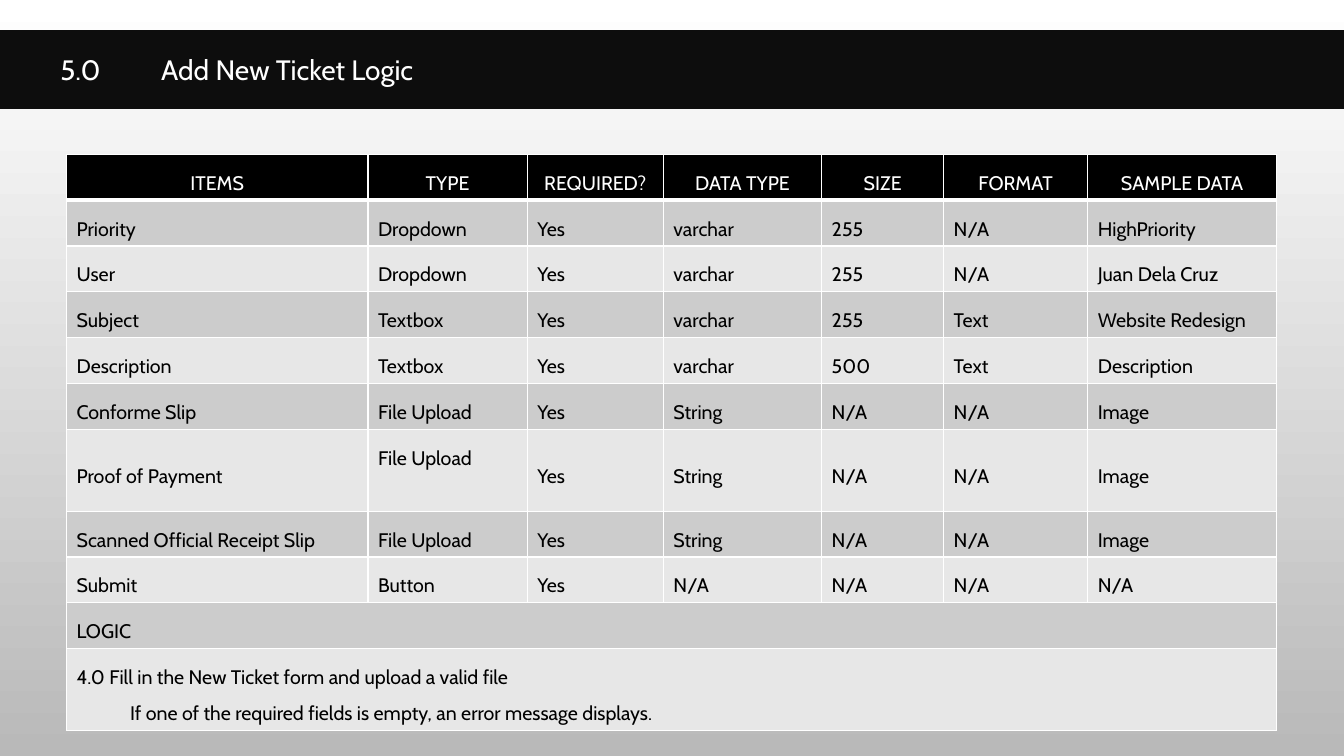
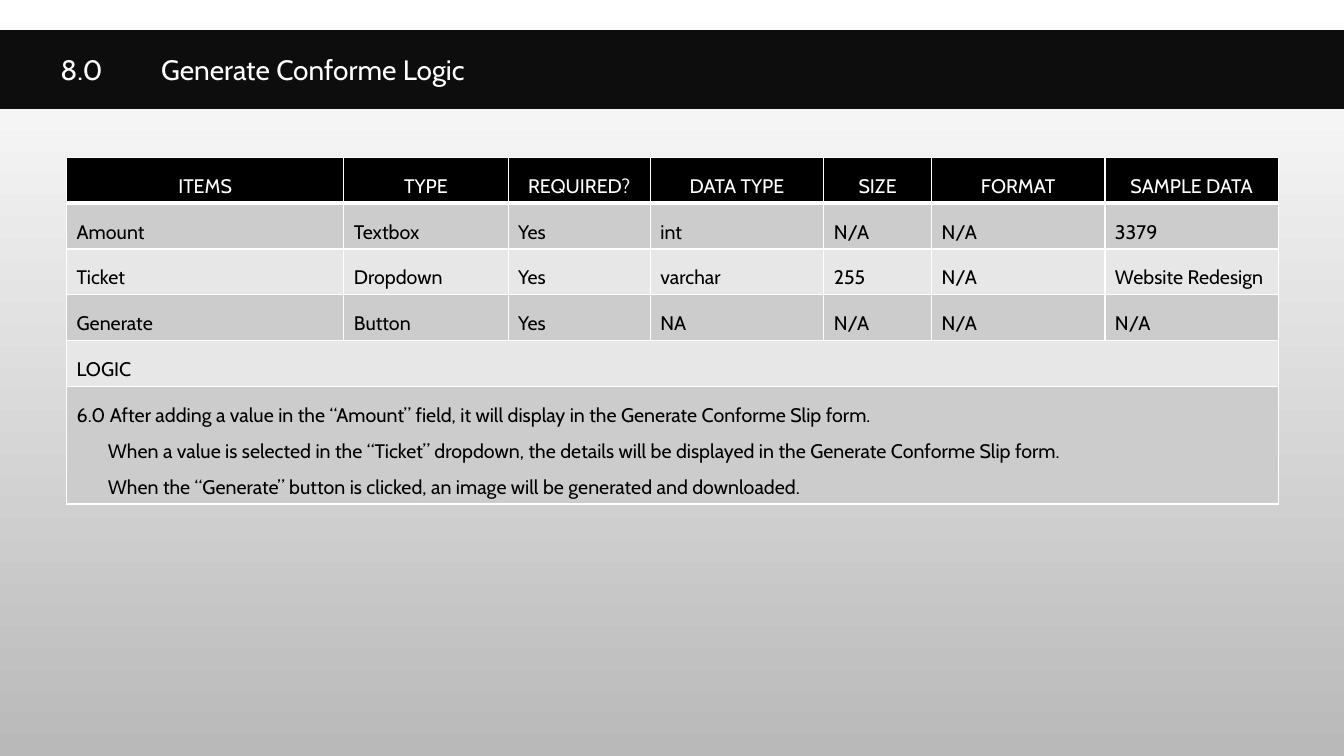
from lxml import etree
from pptx import Presentation
from pptx import util as u
from pptx.dml.color import RGBColor
from pptx.enum import shapes, text
from pptx.oxml.ns import qn

THEME = {
    "font": "Cabin",
    "title_size": 20,
    "table_size": 14,
    "white": "FFFFFF",
    "black": "000000",
    "band": "0D0D0D",
    "backdrop": ("FFFFFF", "B9B9B9"),
    "stripes": ("CCCCCC", "E7E7E7"),
    "rule": 1,
    "header_rule": 3,
    "line_spacing": 1.5,
}
SLIDE_WIDTH, SLIDE_HEIGHT = 13.33, 7.5
BAND_TOP, BAND_HEIGHT = 0.3, 0.78
TITLE_INDENT = TAB_STEP = 0.5
TABLE_LEFT = 0.66
CELL_PADDING, LINE_HEIGHT = 0.1, 0.35

HEADER = ("ITEMS", "TYPE", "REQUIRED?", "DATA TYPE", "SIZE", "FORMAT", "SAMPLE DATA")
SCREENS = [
    {
        "title": "5.0\t\tAdd New Ticket Logic",
        "top": 1.53,
        "columns": (2.99, 1.58, 1.35, 1.57, 1.21, 1.43, 1.87),
        "anchor": text.MSO_ANCHOR.MIDDLE,
        "items": [
            ("Priority", "Dropdown", "Yes", "varchar", "255", "N/A", "HighPriority"),
            ("User", "Dropdown", "Yes", "varchar", "255", "N/A", "Juan Dela Cruz"),
            ("Subject", "Textbox", "Yes", "varchar", "255", "Text", "Website Redesign"),
            ("Description", "Textbox", "Yes", "varchar", "500", "Text", "Description"),
            ("Conforme Slip", "File Upload", "Yes", "String", "N/A", "N/A", "Image"),
            ("Proof of Payment", "File Upload", "Yes", "String", "N/A", "N/A", "Image"),
            ("Scanned Official Receipt Slip", "File Upload", "Yes", "String", "N/A", "N/A", "Image"),
            ("Submit", "Button", "Yes", "N/A", "N/A", "N/A", "N/A"),
        ],
        "logic": [
            "4.0 Fill in the New Ticket form and upload a valid file",
            "If one of the required fields is empty, an error message displays.",
        ],
        "logic_indent": 0.53,
        "row_heights": {6: 0.81},
        "top_cells": [(6, 1)],
    },
    {
        "title": "8.0\t\tGenerate Conforme Logic",
        "top": 1.56,
        "columns": (2.75, 1.63, 1.41, 1.72, 1.07, 1.72, 1.72),
        "anchor": text.MSO_ANCHOR.TOP,
        "items": [
            ("Amount", "Textbox", "Yes", "int", "N/A", "N/A", "3379"),
            ("Ticket", "Dropdown", "Yes", "varchar", "255", "N/A", "Website Redesign"),
            ("Generate", "Button", "Yes", "NA", "N/A", "N/A", "N/A"),
        ],
        "logic": [
            "6.0 After adding a value in the “Amount” field, it will display in the Generate Conforme Slip form.",
            "When a value is selected in the “Ticket” dropdown, the details will be displayed in the Generate Conforme Slip form.",
            "When the “Generate” button is clicked, an image will be generated and downloaded.",
        ],
        "logic_indent": 0.31,
        "row_heights": {},
        "top_cells": [],
    },
]


def rgb(value):
    return RGBColor.from_string(value)


def write(paragraph, words, size, color, indent=0, **formats):
    properties = paragraph._p.get_or_add_pPr()
    for name, length in {"marL": indent, "indent": 0, "defTabSz": TAB_STEP}.items():
        properties.set(name, str(u.Inches(length)))
    for name, value in formats.items():
        setattr(paragraph, name, value)
    run = paragraph.add_run()
    run.text = words
    font = {"name": THEME["font"], "size": u.Pt(size), "bold": False}
    for name, value in font.items():
        setattr(run.font, name, value)
    run.font.color.rgb = rgb(color)


def set_borders(cell, widths):
    properties = cell._tc.get_or_add_tcPr()
    for side, width in widths.items():
        line = etree.SubElement(properties, qn(f"a:ln{side}"), w=str(u.Pt(width)))
        fill = etree.SubElement(line, qn("a:solidFill"))
        etree.SubElement(fill, qn("a:srgbClr"), val=THEME["white"])


def paint_backdrop(master):
    fill = master.background.fill
    fill.gradient()
    fill.gradient_angle = 270
    for stop, color in zip(fill.gradient_stops, THEME["backdrop"]):
        stop.color.rgb = rgb(color)


def add_title_band(slide, title):
    band = slide.shapes.add_shape(
        shapes.MSO_SHAPE.RECTANGLE, 0, u.Inches(BAND_TOP), u.Inches(SLIDE_WIDTH), u.Inches(BAND_HEIGHT)
    )
    band.shadow.inherit = False
    band.fill.solid()
    band.fill.fore_color.rgb = rgb(THEME["band"])
    band.line.fill.background()
    band.text_frame.vertical_anchor = text.MSO_ANCHOR.MIDDLE
    write(
        band.text_frame.paragraphs[0], title, THEME["title_size"], THEME["white"],
        TITLE_INDENT, alignment=text.PP_ALIGN.LEFT, level=1,
    )


def style_cell(cell, row_index, anchor):
    is_header = row_index == 0
    widths = dict.fromkeys("LRTB", THEME["rule"])
    if is_header:
        widths["B"] = THEME["header_rule"]
    elif row_index == 1:
        widths["T"] = THEME["header_rule"]
    set_borders(cell, widths)
    cell.fill.solid()
    cell.fill.fore_color.rgb = rgb(THEME["black"] if is_header else THEME["stripes"][(row_index - 1) % 2])
    cell.vertical_anchor = text.MSO_ANCHOR.MIDDLE if is_header else anchor


def fill_cell(cell, lines, is_header, indent):
    for index, words in enumerate(lines):
        frame = cell.text_frame
        paragraph = frame.add_paragraph() if index else frame.paragraphs[0]
        write(
            paragraph, words, THEME["table_size"], THEME["white" if is_header else "black"],
            indent if index else 0, line_spacing=THEME["line_spacing"],
            alignment=text.PP_ALIGN.CENTER if is_header else text.PP_ALIGN.LEFT,
        )


def add_logic_table(slide, screen):
    rows = [[[words] for words in row] for row in (HEADER, *screen["items"])]
    rows += [[["LOGIC"]], [screen["logic"]]]
    heights = [
        screen["row_heights"].get(index, CELL_PADDING + LINE_HEIGHT * len(row[0]))
        for index, row in enumerate(rows)
    ]
    table = slide.shapes.add_table(
        len(rows), len(HEADER), u.Inches(TABLE_LEFT), u.Inches(screen["top"]),
        u.Inches(sum(screen["columns"])), u.Inches(sum(heights)),
    ).table
    table.horz_banding = False
    for column, width in zip(table.columns, screen["columns"]):
        column.width = u.Inches(width)
    for row_index, row in enumerate(rows):
        table.rows[row_index].height = u.Inches(heights[row_index])
        for column_index in range(len(HEADER)):
            style_cell(table.cell(row_index, column_index), row_index, screen["anchor"])
        if len(row) == 1:
            table.cell(row_index, 0).merge(table.cell(row_index, len(HEADER) - 1))
        for column_index, lines in enumerate(row):
            fill_cell(table.cell(row_index, column_index), lines, row_index == 0, screen["logic_indent"])
    for position in screen["top_cells"]:
        table.cell(*position).vertical_anchor = text.MSO_ANCHOR.TOP


def main():
    presentation = Presentation()
    presentation.slide_width = u.Inches(SLIDE_WIDTH)
    presentation.slide_height = u.Inches(SLIDE_HEIGHT)
    paint_backdrop(presentation.slide_master)
    for screen in SCREENS:
        slide = presentation.slides.add_slide(presentation.slide_layouts[6])
        add_logic_table(slide, screen)
        add_title_band(slide, screen["title"])
    presentation.save("out.pptx")


if __name__ == "__main__":
    main()
